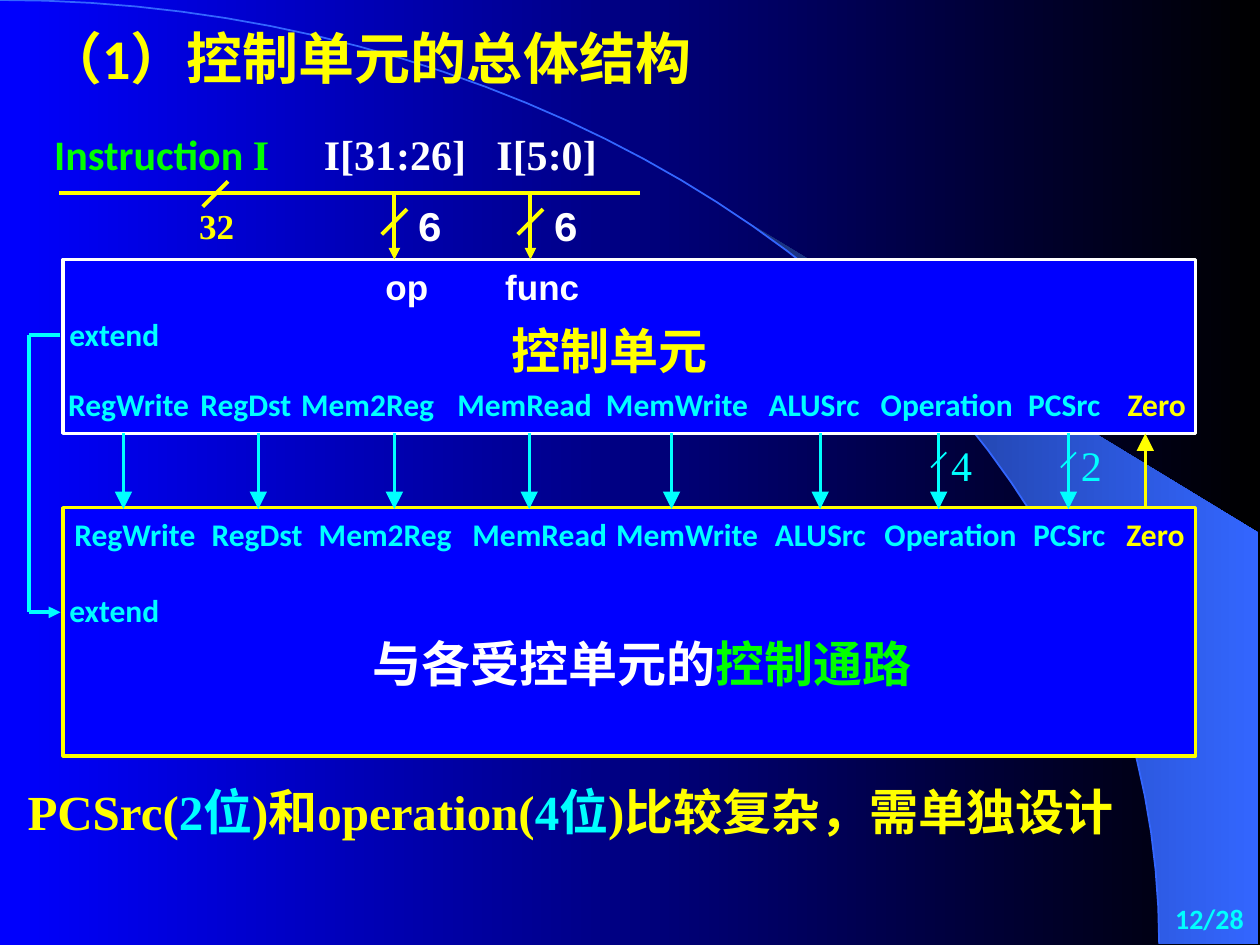
import math
from dataclasses import dataclass

import pptx
import pptx.util
from lxml import etree
from pptx.dml.color import RGBColor
from pptx.enum.shapes import MSO_CONNECTOR, MSO_SHAPE
from pptx.enum.text import MSO_ANCHOR, MSO_AUTO_SIZE, PP_ALIGN
from pptx.oxml.ns import qn

BLUE = RGBColor(0x00, 0x00, 0xFF)
BLACK = RGBColor(0x00, 0x00, 0x00)
NAVY = RGBColor(0x18, 0x2F, 0x76)
SKY = RGBColor(0x33, 0x66, 0xFF)
YELLOW = RGBColor(0xFF, 0xFF, 0x00)
CYAN = RGBColor(0x00, 0xFF, 0xFF)
GREEN = RGBColor(0x00, 0xFF, 0x00)
WHITE = RGBColor(0xFF, 0xFF, 0xFF)

SERIF, SANS, LABEL, MONO = "Times New Roman", "Arial", "Calibri", "Courier New"
CJK = "Noto Sans CJK SC"

# The slide is a grid of 100 columns by 75 rows.
COLUMNS, ROWS = 100, 75
CELL = pptx.util.Inches(0.1)

# Signal: label column in the control unit, in the datapath, label width, wire column
SIGNALS = {
    "RegWrite": (0.4, 0.9, 9.8, 4.8),
    "RegDst": (10.9, 11.8, 7.3, 15.5),
    "Mem2Reg": (18.9, 20.3, 10.6, 26.3),
    "MemRead": (31.3, 32.5, 10.7, 37),
    "MemWrite": (43.1, 43.9, 11.4, 48.3),
    "ALUSrc": (56, 56.5, 7.3, 60.1),
    "Operation": (64.9, 65.2, 10.6, 69.5),
    "PCSrc": (76.6, 77, 5.8, 79.8),
    "Zero": (84.5, 84.4, 4.7, 85.9),
}
BUS_WIDTHS = {"Operation": "4", "PCSrc": "2"}


@dataclass
class Region:
    """A box on the slide grid; its parts are placed from its top left corner."""
    shapes: object
    left: float
    top: float
    width: float
    height: float

    def at(self, column, row):
        return round((self.left + column) * CELL), round((self.top + row) * CELL)


def style(font, size=None, face=None, color=None, bold=None):
    if size:
        font.size = pptx.util.Pt(size)
    if bold is not None:
        font.bold = bold
    if color is not None:
        font.color.rgb = color
    if face:
        font.name = face


def write(region, column, row, width, height, runs, size, face, color,
          bold=True, inset=False, wrap=False, align=PP_ALIGN.LEFT, middle=False):
    """Place text; runs is a string or a list of (text, colour, face)."""
    box = region.shapes.add_textbox(*region.at(column, row),
                                    round(width * CELL), round(height * CELL))
    frame = box.text_frame
    frame.word_wrap = wrap
    frame.auto_size = MSO_AUTO_SIZE.NONE if middle else MSO_AUTO_SIZE.SHAPE_TO_FIT_TEXT
    frame.vertical_anchor = MSO_ANCHOR.MIDDLE if middle else MSO_ANCHOR.TOP
    if not inset:
        frame.margin_left = frame.margin_right = 0
        frame.margin_top = frame.margin_bottom = 0
    paragraph = frame.paragraphs[0]
    paragraph.alignment = align
    if isinstance(runs, str):
        paragraph.add_run().text = runs
        style(paragraph.font, size, face, color, bold)
    else:
        style(paragraph.font, size, bold=bold)
        for words, run_color, run_face in runs:
            run = paragraph.add_run()
            run.text = words
            style(run.font, face=run_face, color=run_color)
    for run in paragraph.runs:
        etree.SubElement(run._r.get_or_add_rPr(), qn("a:ea"), typeface=CJK)


def wire(region, start, end, color, weight, head=None):
    """Draw a straight line; head is the arrowhead size, 'med' or 'lg'."""
    line = region.shapes.add_connector(MSO_CONNECTOR.STRAIGHT,
                                       *region.at(*start), *region.at(*end))
    line.line.color.rgb = color
    line.line.width = pptx.util.Pt(weight)
    if head:
        etree.SubElement(line.line._get_or_add_ln(), qn("a:tailEnd"),
                         type="triangle", w=head, len=head)
    etree.SubElement(line._element.spPr, qn("a:effectLst"))


def slash(region, column, row, reach, color, weight):
    """Mark a bus with a short diagonal centred on the given point."""
    wire(region, (column + reach, row - reach), (column - reach, row + reach), color, weight)


def fade(fill, first, last):
    fill.gradient()
    fill.gradient_angle = 0
    for stop, color in zip(fill.gradient_stops, (first, last)):
        stop.color.rgb = color


def backdrop(region):
    """A quarter ellipse with a beam spreading from its edge to the right."""
    radius_x, radius_y = 0.92 * region.width, region.height

    def arc(start, steps=40):
        angles = (start + (math.pi / 2 - start) * i / steps for i in range(steps + 1))
        return [region.at(radius_x * math.sin(a), radius_y * (1 - math.cos(a))) for a in angles]

    def outline(points, close):
        builder = region.shapes.build_freeform(*points[0])
        builder.add_line_segments(points[1:], close=close)
        shape = builder.convert_to_shape()
        shape.shadow.inherit = False
        return shape

    corners = [region.at(99.9, region.height), region.at(99.9, 42.3)]
    beam = outline(arc(math.asin(58.9 / radius_x)) + corners, True)
    fade(beam.fill, NAVY, SKY)
    beam.line.fill.background()
    edge = outline(arc(0), False)
    edge.fill.background()
    edge.line.color.rgb = SKY
    edge.line.width = pptx.util.Pt(1)


def unit(region, border):
    block = region.shapes.add_shape(MSO_SHAPE.RECTANGLE, *region.at(0, 0),
                                    round(region.width * CELL), round(region.height * CELL))
    block.shadow.inherit = False
    block.fill.solid()
    block.fill.fore_color.rgb = BLUE
    block.line.color.rgb = border
    block.line.width = pptx.util.Pt(1.87)


def signal_labels(region, row, side):
    for name, spot in SIGNALS.items():
        write(region, spot[side], row, spot[2], 3, name, 18, LABEL,
              YELLOW if name == "Zero" else CYAN)


def control_unit(region):
    unit(region, WHITE)
    write(region, 35.6, 4.8, 16.5, 4.7, "控制单元", 28, CJK, YELLOW)
    write(region, 25.6, 0.5, 3.4, 3.3, "op", 20, SANS, WHITE)
    write(region, 35.1, 0.5, 5.9, 3.3, "func", 20, SANS, WHITE)
    write(region, 0.5, 4.4, 7.2, 3, "extend", 18, LABEL, CYAN)
    signal_labels(region, 10, 0)


def datapath(region):
    unit(region, YELLOW)
    write(region, 24.6, 10, 44, 4.7,
          [("与各受控单元的", WHITE, SANS), ("控制通路", GREEN, SANS)], 28, SANS, WHITE)
    write(region, 0.5, 6.6, 7.2, 3, "extend", 18, LABEL, CYAN)
    signal_labels(region, 0.6, 1)


def signal_wires(region):
    for name, (_, _, _, column) in SIGNALS.items():
        ends = [(column, 0), (column, region.height)]
        if name == "Zero":
            wire(region, *reversed(ends), YELLOW, 1.87, "lg")
        else:
            wire(region, *ends, CYAN, 1.87, "lg")
        if name in BUS_WIDTHS:
            slash(region, column, 2.1, 0.6, CYAN, 1)
            write(region, column, 0, 3.6, 5, BUS_WIDTHS[name], 24, SERIF, CYAN,
                  bold=False, inset=True)


def instruction_bus(region):
    write(region, 0, 0, 17.3, 4,
          [("Instruction ", GREEN, LABEL), ("I", GREEN, SERIF)], 24, LABEL, GREEN, wrap=True)
    wire(region, (46.5, 5.1), (0.4, 5.1), YELLOW, 2.25)
    slash(region, 12.8, 5.2, 1, YELLOW, 2.25)
    write(region, 11.5, 6, 2.8, 3.3, "32", 20, SERIF, YELLOW)
    fields = [("I[31:26]", 21.4, 11.3, 27), ("I[5:0]", 35.1, 8, 37.8)]
    for name, column, width, tap in fields:
        write(region, column, 0, width, 4, name, 24, SERIF, WHITE)
        wire(region, (tap, 5.3), (tap, region.height), YELLOW, 2.25, "med")
        slash(region, tap, 7.4, 1, YELLOW, 2.25)
        write(region, tap + 1.8, 5.65, 2, 4, "6", 24, MONO, WHITE)


def extend_loop(region):
    corners = [(region.width, 0), (0, 0), (0, region.height), (region.width, region.height)]
    for start, end, head in zip(corners, corners[1:], (None, None, "med")):
        wire(region, start, end, CYAN, 2.25, head)


def title(region):
    write(region, 0, 0, region.width, region.height, "（1）控制单元的总体结构",
          32, LABEL, YELLOW, inset=True, wrap=True, middle=True)


def remark(region):
    parts = [("PCSrc(", YELLOW), ("2位", CYAN), (")和operation(", YELLOW),
             ("4位", CYAN), (")比较复杂，需单独设计", YELLOW)]
    write(region, 0, 0, region.width, region.height,
          [(words, color, SERIF) for words, color in parts], 28, SERIF, YELLOW, inset=True)


def page_number(region):
    write(region, 0, 0, region.width, region.height, "12/28", 16, LABEL, CYAN,
          inset=True, wrap=True, align=PP_ALIGN.RIGHT, middle=True)


def main():
    deck = pptx.Presentation()
    deck.slide_width, deck.slide_height = COLUMNS * CELL, ROWS * CELL
    slide = deck.slides.add_slide(deck.slide_layouts[6])
    fade(slide.background.fill, BLUE, BLACK)
    layout = [
        (backdrop, (0, 0, COLUMNS, 74.9)),
        (title, (2.7, 0.8, 58.2, 7.5)),
        (datapath, (5, 40.3, 89.9, 19.7)),
        (control_unit, (5, 20.6, 89.9, 13.8)),
        (signal_wires, (5, 34.4, 89.9, 6)),
        (instruction_bus, (4.3, 10.2, 46.5, 10.4)),
        (extend_loop, (2.3, 26.6, 2.5, 22)),
        (remark, (1.2, 61.5, 95.5, 5.7)),
        (page_number, (87.9, 70.9, 11.8, 3.9)),
    ]
    for draw, box in layout:
        draw(Region(slide.shapes, *box))
    deck.save("out.pptx")


if __name__ == "__main__":
    main()
